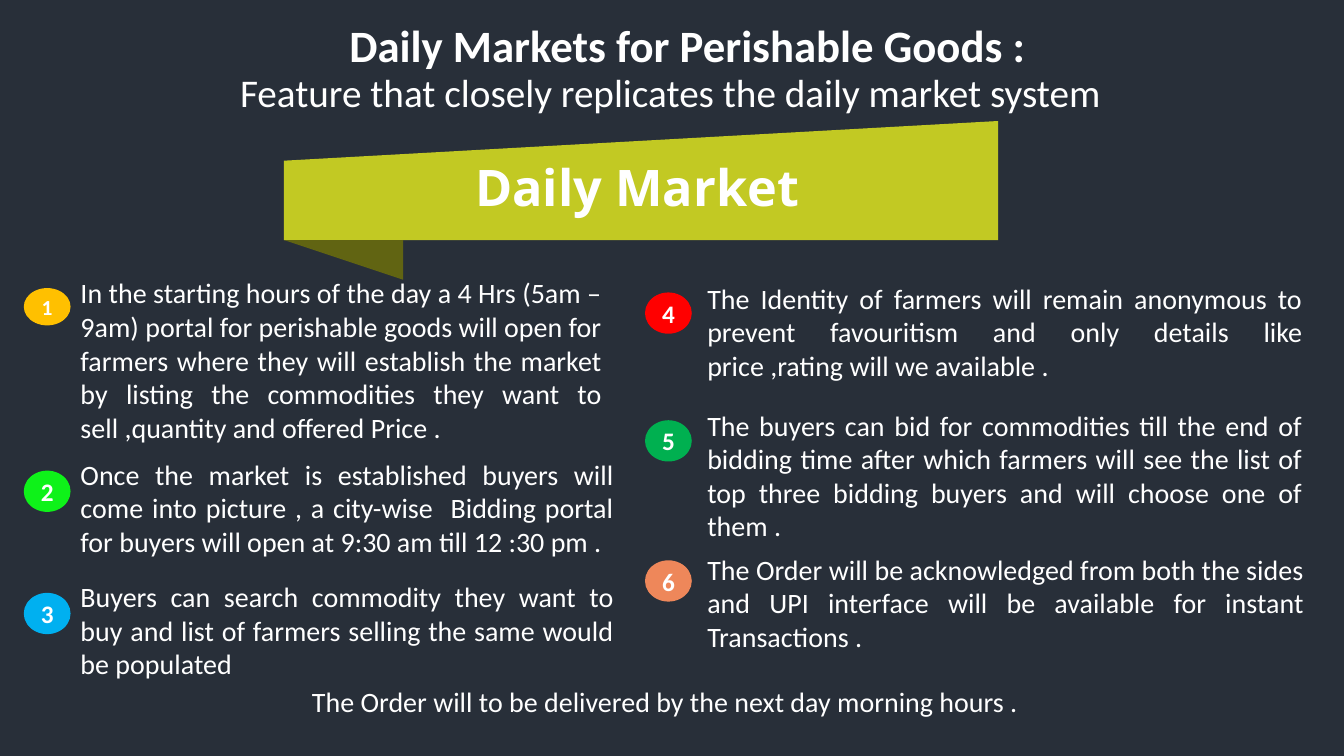
from pptx import Presentation
from pptx.dml.color import RGBColor as Rgb
from pptx.enum.shapes import MSO_SHAPE as Kind
from pptx.enum.text import MSO_ANCHOR as Anchor, MSO_AUTO_SIZE as Fit, PP_ALIGN as Align
from pptx.util import Cm, Pt

DARK = Rgb(0x28, 0x2F, 0x39)
WHITE = Rgb(0xFF, 0xFF, 0xFF)
LIME = Rgb(0xC2, 0xC9, 0x23)
OLIVE = Rgb(0x61, 0x64, 0x12)
AMBER = Rgb(0xFF, 0xC0, 0x00)
GREEN = Rgb(0x0E, 0xF2, 0x19)
BLUE = Rgb(0x00, 0xB0, 0xF0)
RED = Rgb(0xFF, 0x00, 0x00)
LEAF = Rgb(0x00, 0xB0, 0x50)
CORAL = Rgb(0xEE, 0x87, 0x5A)

# Each step: text, colour, text top, text width, text height, badge top
LEFT = [
    ("In the starting hours of the day a 4 Hrs (5am – 9am) portal for perishable "
     "goods will open for farmers where they will establish the market by listing "
     "the commodities they want to sell ,quantity and offered Price .",
     AMBER, 6.83, 13.64, 4.5, 7.26),
    ("Once the market is established buyers will come into picture , a city-wise  "
     "Bidding portal for buyers will open at 9:30 am till 12 :30 pm .",
     GREEN, 11.4, 13.94, 2.8, 11.86),
    ("Buyers can search commodity they want to buy and list of farmers selling "
     "the same would be populated",
     BLUE, 14.48, 13.94, 2.8, 14.94),
]
RIGHT = [
    ("The Identity of farmers will remain anonymous to prevent favouritism and "
     "only details like price ,rating will we available .",
     RED, 6.96, 15.5, 2.8, 7.37),
    ("The buyers can bid for commodities till the end of bidding time after which "
     "farmers will see the list of top three bidding buyers and will choose one "
     "of them .",
     LEAF, 10.16, 15.5, 3.66, 10.59),
    ("The Order will be acknowledged from both the sides and UPI interface will "
     "be available for instant Transactions .",
     CORAL, 13.79, 15.54, 2.8, 14.12),
]


def write(shape, text, size=20, bold=False, face="Calibri", align=Align.CENTER,
          anchor=Anchor.TOP, lead=None):
    frame = shape.text_frame
    frame.text = text
    frame.word_wrap = True
    frame.auto_size = Fit.NONE
    frame.vertical_anchor = anchor
    para = frame.paragraphs[0]
    para.alignment = align
    para.space_before = Pt(0)
    para.line_spacing = lead
    font = para.runs[0].font
    font.size, font.bold, font.name = Pt(size), bold, face
    font.color.rgb = WHITE


def label(slide, box, text, **form):
    write(slide.shapes.add_textbox(*map(Cm, box)), text, **form)


def paint(shape, colour):
    shape.shadow.inherit = False
    shape.fill.solid()
    shape.fill.fore_color.rgb = colour
    shape.line.fill.background()


def head(slide, box):
    x, y, wide, high = box
    title = slide.shapes.title
    title.left, title.top, title.width, title.height = map(Cm, box)
    write(title, "Daily Markets for Perishable Goods :", size=32, bold=True, lead=0.9)
    label(slide, (x - 1.04, y + 1.12, wide + 1.2, 1.45),
          "Feature that closely replicates the daily market system", size=28)


def banner(slide, box):
    x, y, wide, high = box
    group = slide.shapes.add_group_shape().shapes
    # Ribbon face, then the folded end below it
    face = [(0, 0.61), (wide, 0), (wide - 0.3, high), (0.23, high)]
    fold = [(0.23, high), (3.2, high), (2.95, high + 0.86)]
    for points, colour in ((face, LIME), (fold, OLIVE)):
        path = group.build_freeform(*points[0], scale=Cm(1))
        path.add_line_segments(points[1:], close=True)
        paint(path.convert_to_shape(Cm(x), Cm(y)), colour)
    label(slide, (x + 3.89, y + 0.76, 10.03, 1.78), "Daily Market",
          size=36, bold=True, face="Noto Sans")


def badge(slide, box, number, colour, size):
    oval = slide.shapes.add_shape(Kind.OVAL, *map(Cm, box))
    paint(oval, colour)
    write(oval, str(number), size=size, bold=True, anchor=Anchor.MIDDLE)


def column(slide, x, gap, steps, first):
    for number, (text, colour, top, wide, high, spot) in enumerate(steps, first):
        label(slide, (x + gap, top, wide, high), text, align=Align.JUSTIFY)
        tall, size = (0.94, 15.3) if number == 1 else (1.04, 18)
        badge(slide, (x, spot, 1.18, tall), number, colour, size)


def main():
    deck = Presentation()
    deck.slide_width, deck.slide_height = Cm(33.88), Cm(19.05)
    slide = deck.slides.add_slide(deck.slide_layouts[5])
    slide.background.fill.solid()
    slide.background.fill.fore_color.rgb = DARK

    head(slide, (1.7, 0.48, 31.27, 2))
    banner(slide, (7.16, 3.05, 18.36, 2.82))
    column(slide, 0.6, 1.18, LEFT, 1)
    column(slide, 16.26, 1.32, RIGHT, 4)
    # Closing line
    label(slide, (1.31, 17.12, 30.91, 1.12),
          "The Order will to be delivered by the next day morning hours .")
    deck.save("out.pptx")


if __name__ == "__main__":
    main()
